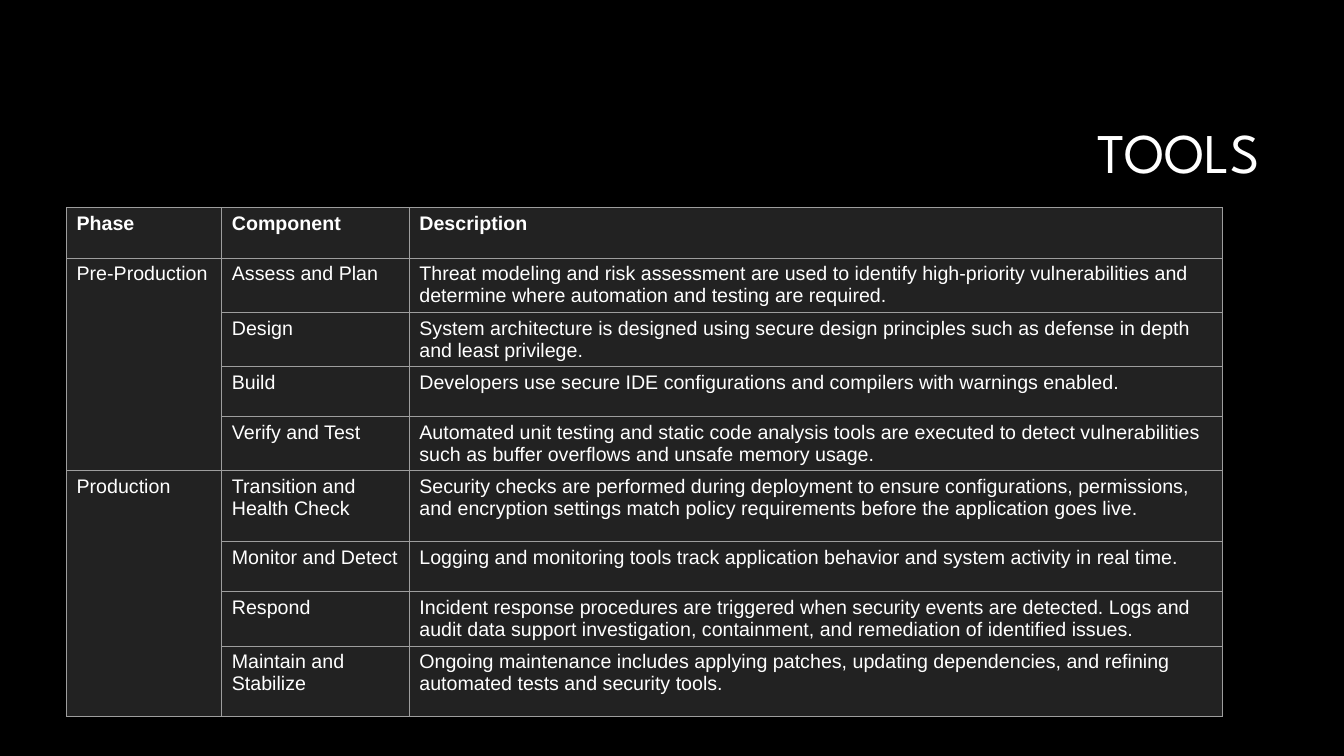
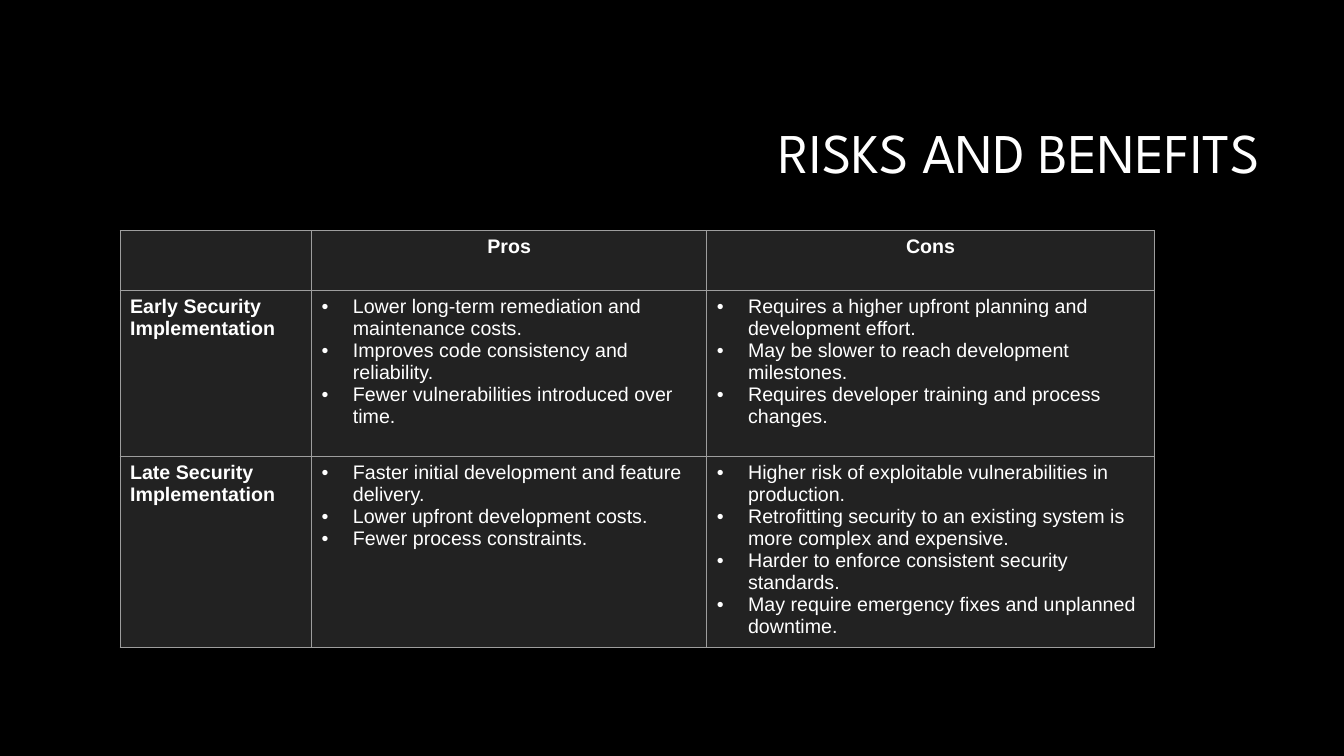
from dataclasses import dataclass

from lxml import etree
from pptx import Presentation
from pptx.dml.color import RGBColor
from pptx.enum import text
from pptx.oxml import ns
from pptx.util import Pt

# Shared style: 100 px make one inch
EMU_PER_PX = 9144
SLIDE_SIZE = (1333, 750)
TITLE_BOX = (317, 84, 942, 141)
BULLET_INDENT = 31
BORDER_WIDTH = Pt(0.75)
COLORS = {
    "background": "000000",
    "text": "FFFFFF",
    "cell": "222222",
    "border": "9E9E9E",
}
TITLE_FONT = {"name": "League Spartan", "size": Pt(40), "bold": False}
CELL_FONT = {"name": "Arial", "size": Pt(14), "bold": False}
HEADING_FONT = {**CELL_FONT, "bold": True}
TITLE_FRAME = {
    "word_wrap": True,
    "auto_size": text.MSO_AUTO_SIZE.NONE,
    "vertical_anchor": text.MSO_ANCHOR.MIDDLE,
}
TITLE_PARAGRAPH = {"alignment": text.PP_ALIGN.RIGHT, "line_spacing": 0.9}
PLAIN_TABLE = {"first_row": False, "horz_banding": False}


@dataclass(frozen=True)
class Entry:
    """Text of one cell; several lines make a bulleted list."""
    lines: tuple[str, ...]
    bold: bool = False
    bulleted: bool = False
    centered: bool = False
    row_span: int = 1


@dataclass(frozen=True)
class TableSlide:
    title: str
    left: int
    top: int
    columns: tuple[int, ...]
    rows: tuple[int, ...]
    entries: tuple[tuple[Entry | None, ...], ...]


def plain(line: str, row_span: int = 1) -> Entry:
    return Entry((line,), row_span=row_span)


def heading(line: str, centered: bool = False) -> Entry:
    return Entry((line,), bold=True, centered=centered)


def bullets(*lines: str) -> Entry:
    return Entry(lines, bulleted=True)


def px(length: int) -> int:
    return length * EMU_PER_PX


def color(name: str) -> RGBColor:
    return RGBColor.from_string(COLORS[name])


def apply_format(target, values: dict) -> None:
    for name, value in values.items():
        setattr(target, name, value)


def add_run(paragraph, line: str, font: dict) -> None:
    run = paragraph.add_run()
    run.text = line
    apply_format(run.font, font)
    run.font.color.rgb = color("text")


def add_color_element(parent, name: str) -> None:
    etree.SubElement(parent, ns.qn("a:srgbClr"), val=COLORS[name])


def add_bullet(paragraph) -> None:
    properties = paragraph._p.get_or_add_pPr()
    properties.set("marL", str(px(BULLET_INDENT)))
    properties.set("indent", str(-px(BULLET_INDENT)))
    add_color_element(etree.SubElement(properties, ns.qn("a:buClr")), "text")
    etree.SubElement(properties, ns.qn("a:buFont"), typeface="Arial")
    etree.SubElement(properties, ns.qn("a:buChar"), char="•")


def style_cell(cell) -> None:
    cell.fill.solid()
    cell.fill.fore_color.rgb = color("cell")
    properties = cell._tc.get_or_add_tcPr()
    # Border lines come before the fill
    for index, side in enumerate(("lnL", "lnR", "lnT", "lnB")):
        line = etree.Element(ns.qn(f"a:{side}"), w=str(BORDER_WIDTH))
        add_color_element(etree.SubElement(line, ns.qn("a:solidFill")), "border")
        properties.insert(index, line)


def fill_cell(cell, entry: Entry) -> None:
    frame = cell.text_frame
    for index, line in enumerate(entry.lines):
        paragraph = frame.add_paragraph() if index else frame.paragraphs[0]
        if entry.bulleted:
            add_bullet(paragraph)
        if entry.centered:
            paragraph.alignment = text.PP_ALIGN.CENTER
        add_run(paragraph, line, HEADING_FONT if entry.bold else CELL_FONT)


def add_title(slide, title: str) -> None:
    frame = slide.shapes.add_textbox(*map(px, TITLE_BOX)).text_frame
    apply_format(frame, TITLE_FRAME)
    paragraph = frame.paragraphs[0]
    apply_format(paragraph, TITLE_PARAGRAPH)
    add_run(paragraph, title, TITLE_FONT)


def add_table(slide, content: TableSlide) -> None:
    box = (content.left, content.top, sum(content.columns), sum(content.rows))
    table = slide.shapes.add_table(
        len(content.rows), len(content.columns), *map(px, box)).table
    apply_format(table, PLAIN_TABLE)
    for column, width in zip(table.columns, content.columns):
        column.width = px(width)
    for row, height in zip(table.rows, content.rows):
        row.height = px(height)
    for row_index, entries in enumerate(content.entries):
        for column_index, entry in enumerate(entries):
            cell = table.cell(row_index, column_index)
            style_cell(cell)
            if entry is None:
                continue
            fill_cell(cell, entry)
            if entry.row_span > 1:
                cell.merge(table.cell(row_index + entry.row_span - 1, column_index))


def add_table_slide(presentation, content: TableSlide) -> None:
    slide = presentation.slides.add_slide(presentation.slide_layouts[6])
    slide.background.fill.solid()
    slide.background.fill.fore_color.rgb = color("background")
    add_title(slide, content.title)
    add_table(slide, content)


# Slide content
TOOLS = TableSlide(
    "TOOLS", 66, 206, (154, 186, 807),
    (50, 50, 50, 50, 50, 70, 50, 50, 70),
    (
        (heading("Phase"), heading("Component"), heading("Description")),
        (plain("Pre-Production", row_span=4), plain("Assess and Plan"), plain(
            "Threat modeling and risk assessment are used to identify high-priority "
            "vulnerabilities and determine where automation and testing are required.")),
        (None, plain("Design"), plain(
            "System architecture is designed using secure design principles such as "
            "defense in depth and least privilege.")),
        (None, plain("Build"), plain(
            "Developers use secure IDE configurations and compilers with warnings "
            "enabled.")),
        (None, plain("Verify and Test"), plain(
            "Automated unit testing and static code analysis tools are executed to "
            "detect vulnerabilities such as buffer overflows and unsafe memory usage.")),
        (plain("Production", row_span=4), plain("Transition and Health Check"), plain(
            "Security checks are performed during deployment to ensure configurations, "
            "permissions, and encryption settings match policy requirements before the "
            "application goes live.")),
        (None, plain("Monitor and Detect"), plain(
            "Logging and monitoring tools track application behavior and system "
            "activity in real time.")),
        (None, plain("Respond"), plain(
            "Incident response procedures are triggered when security events are "
            "detected. Logs and audit data support investigation, containment, and "
            "remediation of identified issues.")),
        (None, plain("Maintain and Stabilize"), plain(
            "Ongoing maintenance includes applying patches, updating dependencies, and "
            "refining automated tests and security tools.")),
    ),
)

RISKS_AND_BENEFITS = TableSlide(
    "RISKS AND BENEFITS", 119, 229, (190, 392, 444), (59, 165, 189),
    (
        (None, heading("Pros", centered=True), heading("Cons", centered=True)),
        (
            heading("Early Security Implementation"),
            bullets("Lower long-term remediation and maintenance costs.",
                    "Improves code consistency and reliability.",
                    "Fewer vulnerabilities introduced over time."),
            bullets("Requires a higher upfront planning and development effort.",
                    "May be slower to reach development milestones.",
                    "Requires developer training and process changes."),
        ),
        (
            heading("Late Security Implementation"),
            bullets("Faster initial development and feature delivery.",
                    "Lower upfront development costs.",
                    "Fewer process constraints."),
            bullets("Higher risk of exploitable vulnerabilities in production.",
                    "Retrofitting security to an existing system is more complex "
                    "and expensive.",
                    "Harder to enforce consistent security standards.",
                    "May require emergency fixes and unplanned downtime."),
        ),
    ),
)


def main() -> None:
    presentation = Presentation()
    presentation.slide_width, presentation.slide_height = map(px, SLIDE_SIZE)
    for content in (TOOLS, RISKS_AND_BENEFITS):
        add_table_slide(presentation, content)
    presentation.save("out.pptx")


if __name__ == "__main__":
    main()
